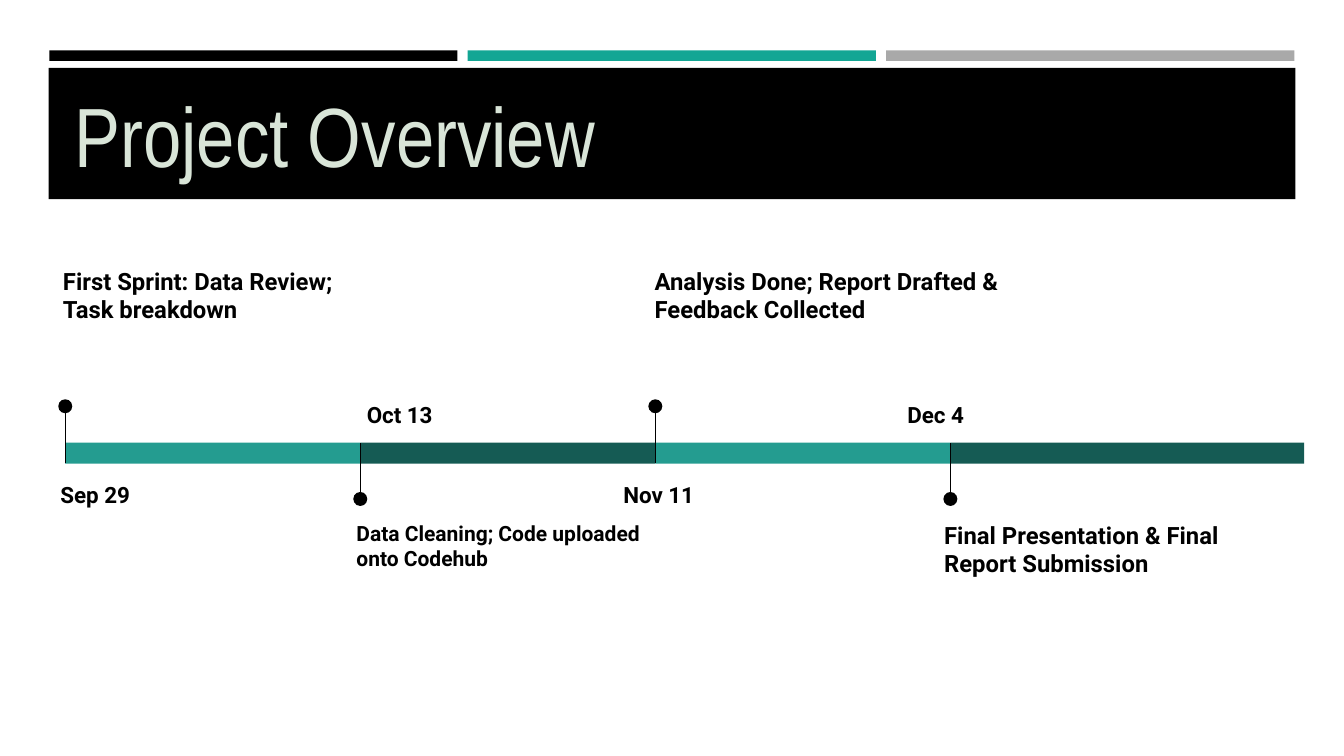
import pptx
import pptx.util
import pptx.dml.color
import pptx.enum.shapes
import pptx.enum.text
import lxml.etree
import pptx.oxml.ns

Pt = pptx.util.Pt
SHAPE = pptx.enum.shapes.MSO_SHAPE
ALIGN = pptx.enum.text.PP_ALIGN
COLORS = {
    "black": "000000", "accent": "13A694", "gray": "A9A9A9",
    "title": "D9E5D8", "light": "249C90", "dark": "155B54",
}


def color(name):
    return pptx.dml.color.RGBColor.from_string(COLORS[name])


def add_filled(kind, left, top, width, height, fill):
    shape = page.shapes.add_shape(kind, Pt(left), Pt(top), Pt(width), Pt(height))
    shape.shadow.inherit = False
    shape.fill.solid()
    shape.fill.fore_color.rgb = color(fill)
    shape.line.fill.background()


deck = pptx.Presentation()
deck.slide_width, deck.slide_height = Pt(960), Pt(540)
page = deck.slides.add_slide(deck.slide_layouts[5])

# Header: three stripes above a black banner
for index, fill in enumerate(["black", "accent", "gray"]):
    add_filled(SHAPE.RECTANGLE, 35.2 + index * 298.9, 36, 291.6, 7.5, fill)
add_filled(SHAPE.RECTANGLE, 34.8, 48.5, 890.5, 93.8, "black")

title = page.shapes.title
title.element.getparent().append(title.element)  # bring in front of the banner
title.left, title.top, title.width, title.height = Pt(46.1), Pt(55.4), Pt(868.3), Pt(79.9)
frame = title.text_frame
frame.text = "Project Overview"
frame.auto_size = pptx.enum.text.MSO_AUTO_SIZE.NONE
frame.vertical_anchor = pptx.enum.text.MSO_ANCHOR.BOTTOM
para = frame.paragraphs[0]
para.alignment = ALIGN.LEFT
para.font.size, para.font.name = Pt(60), "Arial Narrow"
para.font.color.rgb = color("title")

# Timeline: date (left, width, alignment), then note (left, width, size)
milestones = [
    ("Sep 29", 0, 136, ALIGN.CENTER,
     "First Sprint: Data Review; Task breakdown", 35.4, 242.6, 17),
    ("Oct 13", 218.2, 134.6, ALIGN.CENTER,
     "Data Cleaning; Code uploaded onto Codehub", 245, 242.6, 15),
    ("Nov 11", 433.4, 74.2, ALIGN.CENTER,
     "Analysis Done; Report Drafted & Feedback Collected", 458, 278, 17),
    ("Dec 4", 638.6, 80, ALIGN.LEFT,
     "Final Presentation & Final Report Submission", 664.8, 242.6, 17),
]
bar_top, bar_height, bar_step, dot = 316.2, 15, 210.75, 10

for index, (date, date_left, date_width, date_align,
            note, note_left, note_width, note_size) in enumerate(milestones):
    note_above = index % 2 == 0
    start = 46.6 + index * bar_step
    width = 252.7 if index == len(milestones) - 1 else bar_step
    add_filled(SHAPE.RECTANGLE, start, bar_top, width, bar_height,
               "light" if note_above else "dark")

    if note_above:
        pin_from, pin_to, dot_top = 291, 330.6, 285.2
        date_top, note_top = 331.2, 180.7
    else:
        pin_from, pin_to, dot_top = 355.7, 316.2, 351.4
        date_top, note_top = 274.3, 362.2
    pin = page.shapes.add_connector(pptx.enum.shapes.MSO_CONNECTOR.STRAIGHT,
                                    Pt(start), Pt(pin_from), Pt(start), Pt(pin_to))
    pin.line.width = Pt(0.75)
    pin.line.color.rgb = color("black")
    lxml.etree.SubElement(pin.element.spPr, pptx.oxml.ns.qn("a:effectLst"))
    add_filled(SHAPE.OVAL, start - dot / 2, dot_top, dot, dot, "black")

    for text, left, top, width, height, size, align in [
        (date, date_left, date_top, date_width, 41, 16, date_align),
        (note, note_left, note_top, note_width, 104.4, note_size, ALIGN.LEFT),
    ]:
        box = page.shapes.add_textbox(Pt(left), Pt(top), Pt(width), Pt(height))
        frame = box.text_frame
        frame.word_wrap = True
        frame.margin_left = frame.margin_right = Pt(9.6)
        frame.margin_top = frame.margin_bottom = Pt(9.6)
        frame.text = text
        para = frame.paragraphs[0]
        para.alignment = align
        para.font.size, para.font.name, para.font.bold = Pt(size), "Roboto", True
        para.font.color.rgb = color("black")
        if text == date:
            para.line_spacing = 1.15
            para.space_after = Pt(21)

deck.save("out.pptx")
